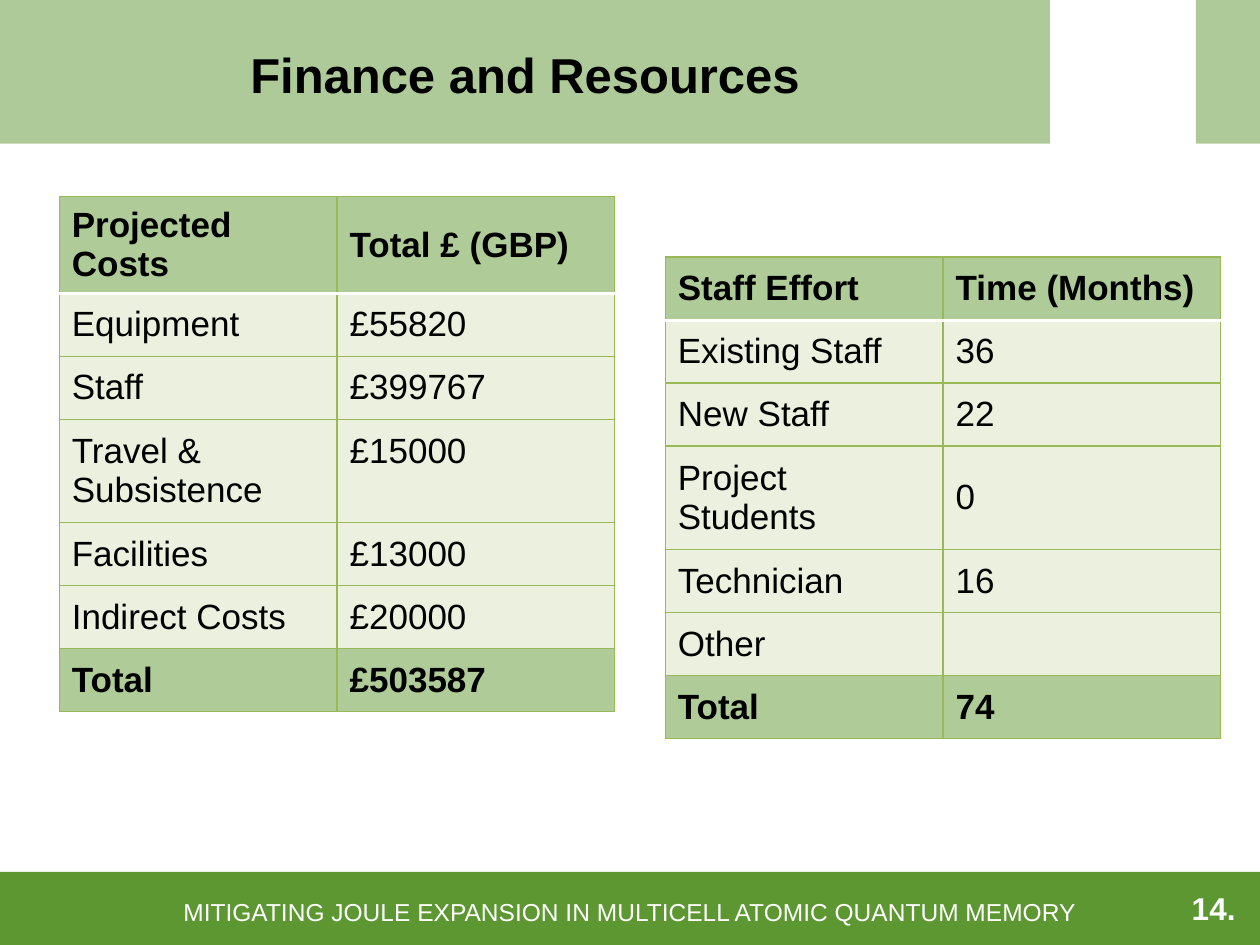
from dataclasses import dataclass
from lxml.etree import SubElement
from pptx import Presentation
from pptx.dml.color import RGBColor
from pptx.enum.shapes import MSO_SHAPE as Shape
from pptx.enum.text import MSO_ANCHOR as Anchor, PP_ALIGN as Align
from pptx.oxml import parse_xml
from pptx.oxml.ns import nsdecls, qn
from pptx.util import Inches, Pt


@dataclass(frozen=True)
class Theme:
    font: str = "Arial"
    green: str = "5D9732"
    strong: str = "AECB98"
    pale: str = "EBF1DE"
    rule: str = "98B955"
    white: str = "FFFFFF"
    black: str = "000000"
    title: int = 28
    body: int = 20
    number: int = 18
    footer: int = 14


THEME = Theme()
WIDTH, HEIGHT = 10, 7.5
HEADER, FOOTER = 1.14, 0.58
TITLE_WIDTH, TAB_WIDTH = WIDTH * 5 / 6, 0.51
COLUMN, ROW, TWO_LINE_HEADING, TWO_LINE_ROW = 2.205, 0.5, 0.72, 0.82
TALL_ROW = 3

TITLE = "Finance and Resources"
PROJECT = "MITIGATING JOULE EXPANSION IN MULTICELL ATOMIC QUANTUM MEMORY"
COSTS = [
    ("Projected Costs", "Total £ (GBP)"),
    ("Equipment", "£55820"),
    ("Staff", "£399767"),
    ("Travel & Subsistence", "£15000"),
    ("Facilities", "£13000"),
    ("Indirect Costs", "£20000"),
    ("Total", "£503587"),
]
EFFORT = [
    ("Staff Effort", "Time (Months)"),
    ("Existing Staff", "36"),
    ("New Staff", "22"),
    ("Project\u00a0\nStudents".replace("\u00a0", ""), "0"),
    ("Technician", "16"),
    ("Other", ""),
    ("Total", "74"),
]


def color(code):
    return RGBColor.from_string(code)


def write(frame, text, size, ink, bold=False, align=Align.LEFT):
    frame.text = text
    for para in frame.paragraphs:
        para.alignment = align
        for span in para.runs:
            span.font.name = THEME.font
            span.font.size = Pt(size)
            span.font.bold = bold
            span.font.color.rgb = color(ink)


def add_band(page, left, top, width, height, opacity=100):
    band = page.shapes.add_shape(Shape.RECTANGLE, *map(Inches, (left, top, width, height)))
    band.shadow.inherit = False
    band.fill.solid()
    band.fill.fore_color.rgb = color(THEME.green)
    band.line.fill.background()
    if opacity < 100:
        tint = band.fill._xPr.find(qn("a:solidFill"))[0]
        SubElement(tint, qn("a:alpha"), val=str(opacity * 1000))


def add_text(page, area, text, size, ink, wrap=True, anchor=Anchor.MIDDLE, **style):
    box = page.shapes.add_textbox(*map(Inches, area))
    frame = box.text_frame
    frame.word_wrap = wrap
    frame.vertical_anchor = anchor
    write(frame, text, size, ink, **style)
    return frame


def set_borders(cell, row):
    edges = {side: (THEME.rule, 0.75) for side in "LRTB"}
    if row < 2:
        edges["B" if row == 0 else "T"] = (THEME.white, 2)
    for place, (side, (ink, weight)) in enumerate(edges.items()):
        line = parse_xml(
            f'<a:ln{side} {nsdecls("a")} w="{Pt(weight)}"><a:solidFill>'
            f'<a:srgbClr val="{ink}"/></a:solidFill></a:ln{side}>'
        )
        cell._tc.get_or_add_tcPr().insert(place, line)


def add_table(page, left, top, records, heading_height, top_cells=()):
    heights = [heading_height] + [ROW] * (len(records) - 1)
    heights[TALL_ROW] = TWO_LINE_ROW
    area = (left, top, COLUMN * len(records[0]), sum(heights))
    table = page.shapes.add_table(len(records), len(records[0]), *map(Inches, area)).table
    for column in table.columns:
        column.width = Inches(COLUMN)
    for row, (record, height) in enumerate(zip(records, heights)):
        table.rows[row].height = Inches(height)
        strong = row in (0, len(records) - 1)
        for column, text in enumerate(record):
            cell = table.cell(row, column)
            cell.vertical_anchor = Anchor.MIDDLE
            if (row, column) in top_cells:
                cell.vertical_anchor = Anchor.TOP
                cell.margin_top = Inches(0.1)
            write(cell.text_frame, text, THEME.body, THEME.black, bold=strong)
            cell.fill.solid()
            cell.fill.fore_color.rgb = color(THEME.strong if strong else THEME.pale)
            set_borders(cell, row)


def main():
    deck = Presentation()
    deck.slide_width, deck.slide_height = Inches(WIDTH), Inches(HEIGHT)
    page = deck.slides.add_slide(deck.slide_layouts[6])
    footer_top = HEIGHT - FOOTER

    add_band(page, 0, footer_top, WIDTH, FOOTER)
    add_band(page, 0, 0, TITLE_WIDTH, HEADER, opacity=50)
    add_band(page, WIDTH - TAB_WIDTH, 0, TAB_WIDTH, HEADER, opacity=50)
    add_text(page, (0, 0.03, TITLE_WIDTH, HEADER - 0.03), TITLE, THEME.title,
             THEME.black, bold=True, align=Align.CENTER)
    footer = add_text(page, (WIDTH * 0.12, footer_top, WIDTH * 0.76, FOOTER), PROJECT,
                      THEME.footer, THEME.white, align=Align.CENTER)
    footer.margin_top = Inches(0.1)

    add_table(page, 0.47, 1.56, COSTS, TWO_LINE_HEADING, top_cells={(TALL_ROW, 1)})
    add_table(page, 5.28, 2.04, EFFORT, ROW)
    add_text(page, (9.36, 7.01, 0.91, 0.4), "14.", THEME.number, THEME.white,
             wrap=False, anchor=Anchor.TOP, bold=True)
    deck.save("out.pptx")


if __name__ == "__main__":
    main()
